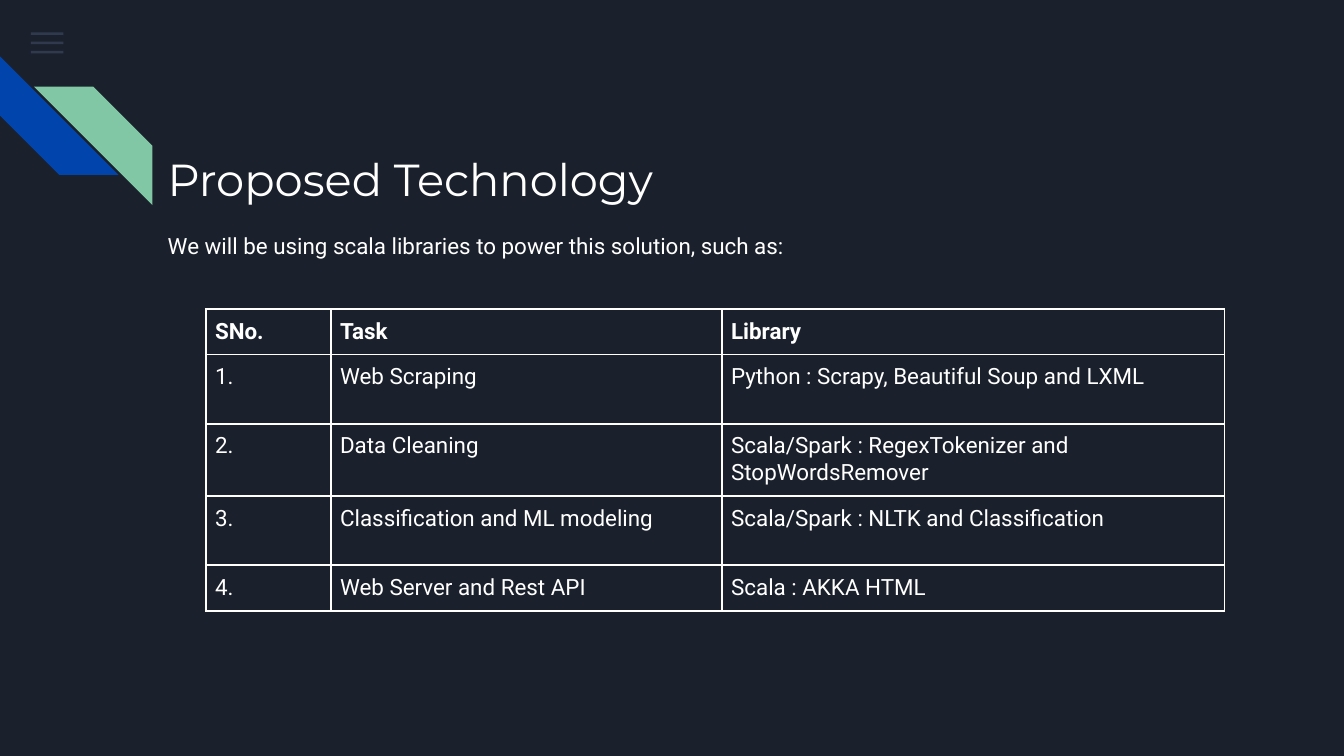
from lxml.etree import SubElement
from pptx import Presentation
from pptx.dml.color import RGBColor
from pptx.enum.shapes import MSO_SHAPE
from pptx.enum.text import MSO_ANCHOR
from pptx.oxml import parse_xml
from pptx.oxml.ns import nsdecls, qn
from pptx.util import Pt

WHITE = "FFFFFF"
ROWS = [
    ("SNo.", "Task", "Library"),
    ("1.", "Web Scraping", "Python : Scrapy, Beautiful Soup and LXML"),
    ("2.", "Data Cleaning", "Scala/Spark : RegexTokenizer and StopWordsRemover"),
    ("3.", "Classification and ML modeling", "Scala/Spark : NLTK and Classification"),
    ("4.", "Web Server and Rest API", "Scala : AKKA HTML"),
]


def rgb(color):
    return RGBColor.from_string(color)


class Deck:
    """Holds the text style and the current slide."""

    color = WHITE
    font = "Roboto"
    size = 12

    def __init__(self, slide, background):
        self.s = slide
        fill = slide.background.fill
        fill.solid()
        fill.fore_color.rgb = rgb(background)

    def shape(self, kind, x, y, w, h, color, rotation=0, alpha=None):
        sp = self.s.shapes.add_shape(kind, Pt(x), Pt(y), Pt(w), Pt(h))
        sp.shadow.inherit = False
        sp.rotation = rotation
        sp.line.fill.background()
        sp.fill.solid()
        sp.fill.fore_color.rgb = rgb(color)
        if alpha is not None:
            clr = sp.fill._xPr.find(".//" + qn("a:srgbClr"))
            SubElement(clr, qn("a:alpha"), val=str(alpha * 1000))
        return sp

    def run(self, p, text, size=None, font=None, bold=False):
        r = p.add_run()
        r.text = text
        r.font.size = Pt(size or self.size)
        r.font.name = font or self.font
        r.font.bold = bold
        r.font.color.rgb = rgb(self.color)

    def text(self, x, y, w, h, text, spacing, anchor=MSO_ANCHOR.TOP, **style):
        tf = self.s.shapes.add_textbox(Pt(x), Pt(y), Pt(w), Pt(h)).text_frame
        tf.word_wrap = True
        tf.vertical_anchor = anchor
        tf.margin_left = tf.margin_right = tf.margin_top = tf.margin_bottom = Pt(7.2)
        p = tf.paragraphs[0]
        p.line_spacing = spacing
        self.run(p, text, **style)

    def borders(self, cell):
        tcPr = cell._tc.get_or_add_tcPr()
        for i, side in enumerate("LRTB"):
            tcPr.insert(i, parse_xml(
                f'<a:ln{side} {nsdecls("a")} w="{Pt(1)}"><a:solidFill>'
                f'<a:srgbClr val="{self.color}"/></a:solidFill></a:ln{side}>'))

    def table(self, x, y, widths, heights, rows):
        table = self.s.shapes.add_table(
            len(rows), len(widths), Pt(x), Pt(y), Pt(sum(widths)), Pt(sum(heights))).table
        for column, width in zip(table.columns, widths):
            column.width = Pt(width)
        for i, (row, height) in enumerate(zip(rows, heights)):
            table.rows[i].height = Pt(height)
            for j, text in enumerate(row):
                cell = table.cell(i, j)
                cell.margin_left = cell.margin_right = Pt(5)
                cell.margin_top = cell.margin_bottom = Pt(5)
                cell.fill.background()
                self.borders(cell)
                self.run(cell.text_frame.paragraphs[0], text, bold=i == 0)


def main():
    prs = Presentation()
    prs.slide_width, prs.slide_height = Pt(720), Pt(405)
    deck = Deck(prs.slides.add_slide(prs.slide_layouts[6]), "1B212C")

    for i in range(3):
        deck.shape(MSO_SHAPE.RECTANGLE, 16.6, 17.3 + 5 * i, 17.4, 1.4, "55688B", alpha=36)
    for x, y, color, rotation in ((0, 30.2, "0145AC", 270), (18.2, 46.4, "82C7A5", 90)):
        stripe = deck.shape(MSO_SHAPE.DIAGONAL_STRIPE, x, y, 63.5, 63.5, color, rotation)
        stripe.adjustments[0] = 0.5

    deck.text(82.8, 69.8, 554.4, 72, "Proposed Technology", 1.15, size=24, font="Montserrat")
    deck.table(110.2, 165.6, (67, 209.5, 269.3), (24, 37, 38, 37, 24), ROWS)
    deck.text(82.8, 87.1, 376.6, 85,
              "We will be using scala libraries to power this solution, such as:",
              1.3, MSO_ANCHOR.MIDDLE)
    prs.save("out.pptx")


if __name__ == "__main__":
    main()
